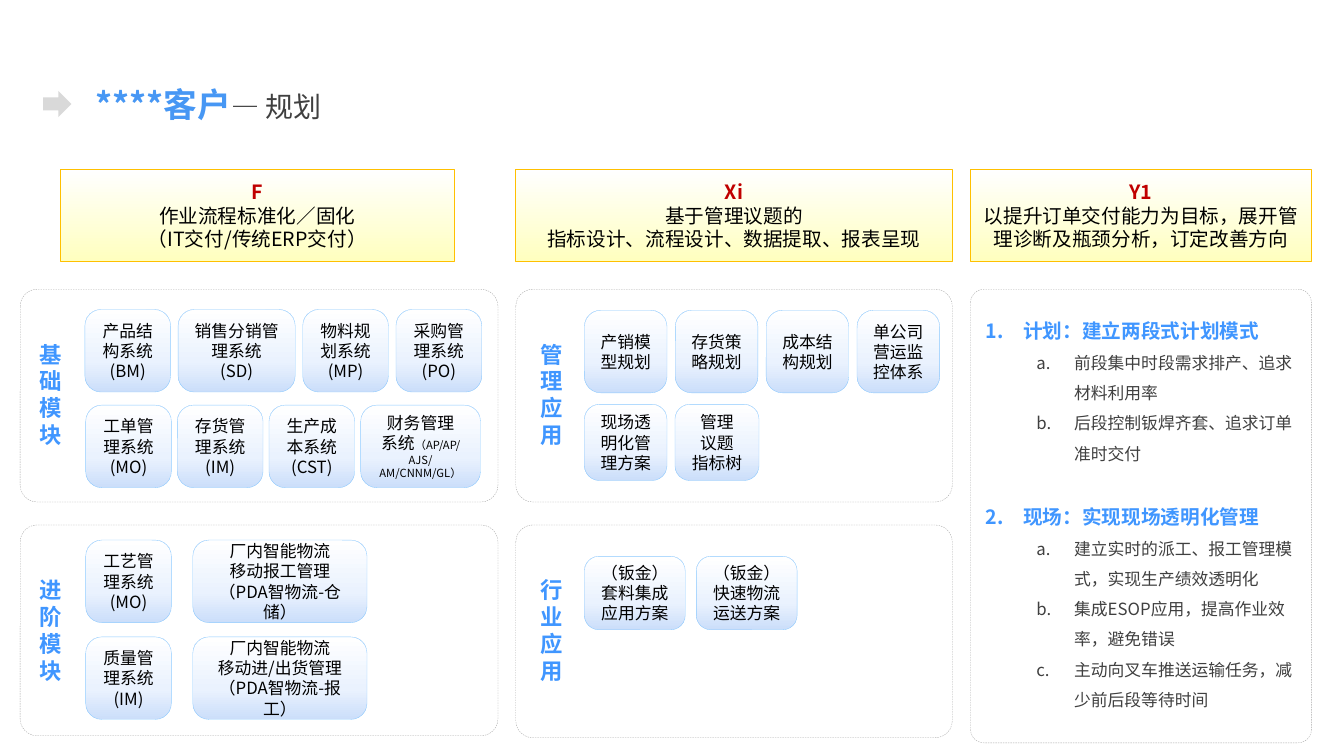
from lxml.etree import SubElement
from pptx import Presentation
from pptx.dml.color import RGBColor
from pptx.enum.dml import MSO_LINE
from pptx.enum.shapes import MSO_SHAPE
from pptx.enum.text import MSO_ANCHOR, MSO_AUTO_SIZE, PP_ALIGN
from pptx.oxml.ns import qn
from pptx.util import Cm, Pt

FONT = "Noto Sans CJK SC"
TITLE_BLUE = RGBColor(0x47, 0x97, 0xF4)
BLUE = RGBColor(0x40, 0x96, 0xFF)
CARD_EDGE = RGBColor(0x8C, 0xCA, 0xFF)
GOLD = RGBColor(0xFF, 0xC0, 0x00)
RED = RGBColor(0xC0, 0x00, 0x00)
BLACK = RGBColor(0x00, 0x00, 0x00)
DARK = RGBColor(0x40, 0x40, 0x40)
GREY = RGBColor(0xA6, 0xA6, 0xA6)
PALE_GREY = RGBColor(0xD9, 0xD9, 0xD9)
WHITE = RGBColor(0xFF, 0xFF, 0xFF)
CARD_STOPS = [(0, RGBColor(0xCB, 0xDE, 0xFA)), (37, RGBColor(0xEA, 0xF2, 0xFE)), (100, WHITE)]
HEADER_STOPS = [(0, RGBColor(0xFF, 0xFF, 0xBF)), (100, WHITE)]

# Lengths are in centimetres: column = (left, width)
BASE_COLUMN, TOPIC_COLUMN, PLAN_COLUMN = (0.51, 12.04), (13.0, 11.0), (24.46, 8.59)
UPPER_TOP, LOWER_TOP = 7.29, 13.23

# Each row: (left, top, height, gap, [(width, lines)]), measured from its panel;
# what follows "|" in a line is set small
BASE_ROWS = [
    (1.63, 0.51, 2.08, 0.19, [(2.16, ["产品结构系统", "(BM)"]), (2.95, ["销售分销管理系统", "(SD)"]),
                              (2.16, ["物料规划系统", "(MP)"]), (2.16, ["采购管理系统", "(PO)"])]),
    (1.65, 2.92, 2.08, 0.15, [(2.16, ["工单管理系统", "(MO)"]), (2.16, ["存货管理系统", "(IM)"]),
                              (2.16, ["生产成本系统", "(CST)"]),
                              (3.02, ["财务管理", "系统|（AP/AP/AJS/", "|AM/CNNM/GL）"])]),
]
ADVANCED_ROWS = [
    (1.65, 0.38, 2.08, 0.54, [(2.16, ["工艺管理系统", "(MO)"]),
                              (4.39, ["厂内智能物流", "移动报工管理", "（PDA智物流-仓储）"])]),
    (1.65, 2.82, 2.08, 0.54, [(2.16, ["质量管理系统", "(IM)"]),
                              (4.39, ["厂内智能物流", "移动进/出货管理", "（PDA智物流-报工）"])]),
]
MANAGEMENT_ROWS = [
    (1.73, 0.53, 2.08, 0.21, [(2.08, ["产销模型规划"]), (2.08, ["存货策略规划"]),
                              (2.08, ["成本结构规划"]), (2.08, ["单公司营运监控体系"])]),
    (1.73, 2.9, 1.92, 0.2, [(2.08, ["现场透明化管理方案"]), (2.12, ["管理", "议题", "指标树"])]),
]
INDUSTRY_ROWS = [
    (1.73, 0.79, 1.85, 0.28, [(2.54, ["（钣金）", "套料集成应用方案"]),
                              (2.54, ["（钣金）", "快速物流运送方案"])]),
]
PLAN_TOPICS = [
    ("计划：建立两段式计划模式",
     ["前段集中时段需求排产、追求材料利用率", "后段控制钣焊齐套、追求订单准时交付"]),
    ("现场：实现现场透明化管理",
     ["建立实时的派工、报工管理模式，实现生产绩效透明化", "集成ESOP应用，提高作业效率，避免错误",
      "主动向叉车推送运输任务，减少前后段等待时间"]),
]


def style_run(run, size, color, bold=False):
    run.font.name = FONT
    run.font.size = Pt(size)
    run.font.bold = bold
    run.font.color.rgb = color
    SubElement(run.font._element, qn("a:ea"), typeface=FONT)


def write(frame, paragraphs, align=PP_ALIGN.LEFT):
    """Fill a text frame; each paragraph is a list of (text, size, color, bold)."""
    for index, pieces in enumerate(paragraphs):
        paragraph = frame.add_paragraph() if index else frame.paragraphs[0]
        paragraph.alignment = align
        for text, *style in pieces:
            run = paragraph.add_run()
            run.text = text
            style_run(run, *style)


def add_box(slide, kind, left, top, width, height, fill, edge=None, edge_width=0.25):
    """Add a shape whose fill is a colour, or stops of a gradient rising from the bottom."""
    box = slide.shapes.add_shape(kind, Cm(left), Cm(top), Cm(width), Cm(height))
    box.shadow.inherit = False
    if isinstance(fill, list):
        box.fill.gradient()
        box.fill.gradient_angle = 90
        stops = box._element.spPr.find(qn("a:gradFill")).find(qn("a:gsLst"))
        for stop in list(stops):
            stops.remove(stop)
        for position, color in fill:
            stop = SubElement(stops, qn("a:gs"), pos=str(position * 1000))
            SubElement(stop, qn("a:srgbClr"), val=str(color))
    else:
        box.fill.solid()
        box.fill.fore_color.rgb = fill
    if edge is None:
        box.line.fill.background()
    else:
        box.line.color.rgb = edge
        box.line.width = Pt(edge_width)
    return box


def add_title(slide, left, top, width, height):
    add_box(slide, MSO_SHAPE.RIGHT_ARROW, left, top + 0.33, 0.71, 0.66, PALE_GREY)
    title = slide.shapes.title
    title.left, title.top = Cm(left + 1.07), Cm(top)
    title.width, title.height = Cm(width), Cm(height)
    frame = title.text_frame
    frame.vertical_anchor = MSO_ANCHOR.MIDDLE
    frame.auto_size = MSO_AUTO_SIZE.NONE
    write(frame, [[("****客户", 24, TITLE_BLUE, True), ("— 规划", 20, DARK, False)]])


def add_header(slide, left, width, name, lines):
    header = add_box(slide, MSO_SHAPE.RECTANGLE, left, 4.27, width, 2.31, HEADER_STOPS, GOLD, 0.75)
    write(header.text_frame,
          [[(name, 14, RED, True)]] + [[(line, 14, BLACK)] for line in lines], PP_ALIGN.CENTER)


def add_panel(slide, left, top, width, height, corner=0.08):
    panel = add_box(slide, MSO_SHAPE.ROUNDED_RECTANGLE, left, top, width, height, WHITE, GREY)
    panel.adjustments[0] = corner
    panel.line.dash_style = MSO_LINE.DASH


def add_text_box(slide, left, top, width, height):
    frame = slide.shapes.add_textbox(Cm(left), Cm(top), Cm(width), Cm(height)).text_frame
    frame.word_wrap = True
    return frame


def add_card(slide, left, top, width, height, lines):
    card = add_box(slide, MSO_SHAPE.ROUNDED_RECTANGLE, left, top, width, height, CARD_STOPS, CARD_EDGE)
    card.adjustments[0] = 0.197
    paragraphs = []
    for line in lines:
        normal, _, small = line.partition("|")
        paragraphs.append([(text, size, BLACK) for text, size in ((normal, 12), (small, 8)) if text])
    write(card.text_frame, paragraphs, PP_ALIGN.CENTER)


def add_module_panel(slide, left, top, width, height, label, label_left, label_width, rows):
    add_panel(slide, left, top, width, height)
    label_frame = add_text_box(slide, left + label_left, top + 1.17, label_width, 3)
    write(label_frame, [[(label, 16, BLUE, True)]])
    for row_left, row_top, row_height, gap, cards in rows:
        card_left = left + row_left
        for card_width, lines in cards:
            add_card(slide, card_left, top + row_top, card_width, row_height, lines)
            card_left += card_width + gap


def number_paragraph(paragraph, level, scheme, indent):
    paragraph.level = level
    paragraph.line_spacing = 1.5
    properties = paragraph._p.get_or_add_pPr()
    properties.set("marL", str(Cm(indent)))
    properties.set("indent", str(-Cm(0.95)))
    SubElement(properties, qn("a:buFont"), typeface="+mj-lt")
    SubElement(properties, qn("a:buAutoNum"), type=scheme)


def add_plan(slide, left, top, width, height):
    add_panel(slide, left, top, width, height, 0.039)
    frame = add_text_box(slide, left + 0.13, top + 0.33, width - 0.21, height - 0.91)
    entries = []
    for heading, points in PLAN_TOPICS:
        entries.append((heading, True))
        entries += [(point, False) for point in points]
    write(frame, [[(text, 14, BLUE, True) if heading else (text, 12, DARK)]
                  for text, heading in entries])
    for index, (paragraph, (_, heading)) in enumerate(zip(frame.paragraphs, entries)):
        if heading and index:
            paragraph.space_before = Pt(21)
        if heading:
            number_paragraph(paragraph, 0, "arabicPeriod", 0.95)
        else:
            number_paragraph(paragraph, 1, "alphaLcPeriod", 2.23)


def main():
    presentation = Presentation()
    presentation.slide_width, presentation.slide_height = Cm(33.87), Cm(19.05)
    slide = presentation.slides.add_slide(presentation.slide_layouts[5])
    add_title(slide, 1.09, 1.96, 29.2, 1.32)
    add_header(slide, 1.52, 9.93, "F", ["作业流程标准化／固化", "（IT交付/传统ERP交付）"])
    add_header(slide, *TOPIC_COLUMN, "Xi",
               ["基于管理议题的", "指标设计、流程设计、数据提取、报表呈现"])
    add_header(slide, *PLAN_COLUMN, "Y1",
               ["以提升订单交付能力为目标，展开管理诊断及瓶颈分析，订定改善方向"])
    for (left, width), top, height, label, label_left, label_width, rows in [
        (BASE_COLUMN, UPPER_TOP, 5.36, "基础模块", 0.23, 1.4, BASE_ROWS),
        (BASE_COLUMN, LOWER_TOP, 5.31, "进阶模块", 0.23, 1.4, ADVANCED_ROWS),
        (TOPIC_COLUMN, UPPER_TOP, 5.36, "管理应用", 0.36, 1.19, MANAGEMENT_ROWS),
        (TOPIC_COLUMN, LOWER_TOP, 5.36, "行业应用", 0.36, 1.19, INDUSTRY_ROWS),
    ]:
        add_module_panel(slide, left, top, width, height, label, label_left, label_width, rows)
    plan_left, plan_width = PLAN_COLUMN
    add_plan(slide, plan_left, UPPER_TOP, plan_width, 11.43)
    presentation.save("out.pptx")


if __name__ == "__main__":
    main()
